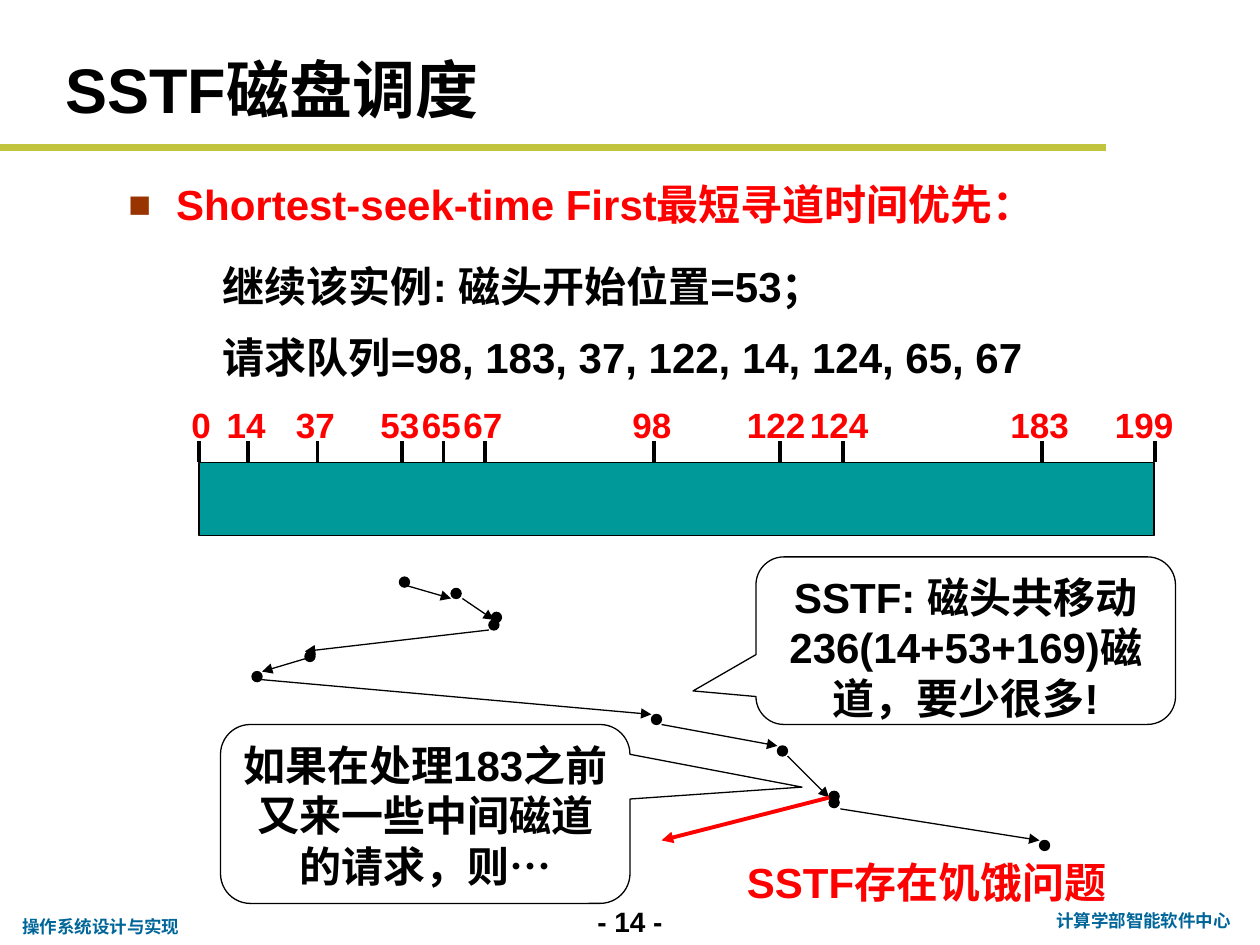
from lxml import etree
from pptx import Presentation
from pptx.dml.color import RGBColor
from pptx.enum.shapes import MSO_CONNECTOR, MSO_SHAPE
from pptx.enum.text import MSO_ANCHOR, PP_ALIGN
from pptx.oxml.ns import qn
from pptx.util import Inches, Pt

BLACK = RGBColor(0x00, 0x00, 0x00)
WHITE = RGBColor(0xFF, 0xFF, 0xFF)
RED = RGBColor(0xFF, 0x00, 0x00)
TEAL = RGBColor(0x00, 0x99, 0x99)
OLIVE = RGBColor(0xC1, 0xC4, 0x3C)
FOOTER_BLUE = RGBColor(0x00, 0x66, 0x99)
BULLET_BROWN = "993300"

LEFT, CENTER = PP_ALIGN.LEFT, PP_ALIGN.CENTER
TOP, MIDDLE = MSO_ANCHOR.TOP, MSO_ANCHOR.MIDDLE
STRAIGHT = MSO_CONNECTOR.STRAIGHT
RECTANGLE, OVAL = MSO_SHAPE.RECTANGLE, MSO_SHAPE.OVAL
CALLOUT = MSO_SHAPE.ROUNDED_RECTANGULAR_CALLOUT

TITLE_ONLY = 5
DISK_LEFT, DISK_TOP, DISK_WIDTH, DISK_HEIGHT = 1.58, 3.67, 7.58, 0.58
TICK_LENGTH = 0.17
DOT_SIZE = 0.08

# Track number, tick position, left edge of its label
TRACKS = [
    ("0", 1.58, 1.42), ("14", 1.97, 1.7), ("37", 2.52, 2.25),
    ("53", 3.19, 2.92), ("65", 3.52, 3.25), ("67", 3.85, 3.58),
    ("98", 5.19, 4.92), ("122", 6.19, 5.83), ("124", 6.69, 6.33),
    ("183", 8.27, 7.92), ("199", 9.17, 8.75),
]
HEAD_STOPS = [
    (3.17, 4.58), (3.58, 4.67), (3.9, 4.86), (3.88, 4.92), (2.42, 5.17),
    (2, 5.33), (5.17, 5.67), (6.17, 5.92), (6.58, 6.28), (6.58, 6.33),
    (8.25, 6.67),
]
HEAD_MOVES = [
    ((3.2, 4.64), (3.58, 4.75)), ((3.67, 4.75), (3.92, 4.92)),
    ((3.88, 5), (2.42, 5.17)), ((2.45, 5.22), (2.08, 5.33)),
    ((2.03, 5.39), (5.17, 5.67)), ((5.25, 5.75), (6.17, 5.92)),
    ((6.25, 6), (6.58, 6.33)), ((6.67, 6.42), (8.25, 6.67)),
]


def write(frame, *lines, size=24, color=BLACK, font="Arial", align=LEFT,
          spacing=None, indent=0, bullet=False, anchor=TOP, wrap=True):
    """Fill a text frame with one paragraph per line."""
    frame.word_wrap = wrap
    frame.vertical_anchor = anchor
    for index, line in enumerate(lines):
        para = frame.paragraphs[0] if index == 0 else frame.add_paragraph()
        para.alignment = align
        if spacing:
            para.line_spacing = spacing
        if indent:
            para._p.get_or_add_pPr().set("marL", str(Inches(indent)))
        if bullet:
            add_bullet(para, indent)
        span = para.add_run()
        span.text = line
        span.font.name = font
        span.font.size = Pt(size)
        span.font.bold = True
        span.font.color.rgb = color


def add_bullet(para, indent):
    properties = para._p.get_or_add_pPr()
    properties.set("indent", str(-Inches(indent)))
    color = etree.SubElement(properties, qn("a:buClr"))
    etree.SubElement(color, qn("a:srgbClr"), val=BULLET_BROWN)
    etree.SubElement(properties, qn("a:buSzPct"), val="90000")
    etree.SubElement(properties, qn("a:buFont"), typeface="Arial")
    etree.SubElement(properties, qn("a:buChar"), char="■")


def place(shape, left, top, width, height):
    shape.left, shape.top = Inches(left), Inches(top)
    shape.width, shape.height = Inches(width), Inches(height)


def add_text(page, bounds, *lines, **style):
    box = page.shapes.add_textbox(*map(Inches, bounds))
    write(box.text_frame, *lines, **style)


def add_line(page, start, end, color=BLACK, width=0.75, arrow=False):
    line = page.shapes.add_connector(STRAIGHT, *map(Inches, start + end))
    line.line.color.rgb = color
    line.line.width = Pt(width)
    if arrow:
        etree.SubElement(line.line._get_or_add_ln(), qn("a:tailEnd"),
                         type="triangle")
    etree.SubElement(line._element.spPr, qn("a:effectLst"))


def add_shape(page, kind, bounds, fill):
    shape = page.shapes.add_shape(kind, *map(Inches, bounds))
    shape.shadow.inherit = False
    shape.fill.solid()
    shape.fill.fore_color.rgb = fill
    shape.line.color.rgb = BLACK
    shape.line.width = Pt(0.75)
    return shape


def add_callout(page, bounds, tip, text):
    """Tip is measured from the centre, as shares of width and height."""
    callout = add_shape(page, CALLOUT, bounds, WHITE)
    callout.adjustments[0], callout.adjustments[1] = tip
    write(callout.text_frame, text, align=CENTER)


def add_frame(page):
    """Title, rule and footer."""
    title = page.shapes.title
    place(title, 0.42, 0.33, 8.58, 0.74)
    write(title.text_frame, "SSTF磁盘调度", size=36, anchor=MIDDLE)
    add_line(page, (0, 1.17), (8.78, 1.17), OLIVE, 4)
    add_text(page, (4.5, 7.13, 1, 0.37), "- 14 -", size=16, align=CENTER)
    footer = {"size": 10, "color": FOOTER_BLUE, "font": "Roboto"}
    add_text(page, (8.25, 7.17, 1.65, 0.27), "计算学部智能软件中心",
             align=CENTER, **footer)
    add_text(page, (0.08, 7.22, 1.46, 0.27), "操作系统设计与实现",
             wrap=False, **footer)


def add_disk(page):
    add_shape(page, RECTANGLE,
              (DISK_LEFT, DISK_TOP, DISK_WIDTH, DISK_HEIGHT), TEAL)
    for track, tick, label_left in TRACKS:
        add_line(page, (tick, DISK_TOP - TICK_LENGTH), (tick, DISK_TOP),
                 width=2.25)
        label_width = 0.75 if len(track) == 3 else 0.58
        add_text(page, (label_left, 3.15, label_width, 0.43), track,
                 size=20, color=RED)


def add_head_path(page):
    for start, end in HEAD_MOVES:
        add_line(page, start, end, arrow=True)
    for left, top in HEAD_STOPS:
        add_shape(page, OVAL, (left, top, DOT_SIZE, DOT_SIZE), BLACK)


def main():
    deck = Presentation()
    deck.slide_width, deck.slide_height = Inches(10), Inches(7.5)
    page = deck.slides.add_slide(deck.slide_layouts[TITLE_ONLY])

    add_frame(page)
    add_text(page, (0.92, 1.25, 7.66, 0.95),
             "Shortest-seek-time First最短寻道时间优先：",
             color=RED, spacing=1.3, indent=0.38, bullet=True)
    add_text(page, (1.17, 1.86, 7.5, 1.22),
             "继续该实例: 磁头开始位置=53；",
             "请求队列=98, 183, 37, 122, 14, 124, 65, 67",
             spacing=1.4, indent=0.5)
    add_disk(page)
    add_head_path(page)
    add_callout(page, (1.75, 5.75, 3.25, 1.42), (0.92, -0.15),
                "如果在处理183之前又来一些中间磁道的请求，则…")
    add_callout(page, (6, 4.42, 3.33, 1.33), (-0.65, 0.3),
                "SSTF: 磁头共移动236(14+53+169)磁道，要少很多!")
    add_text(page, (5.33, 6.59, 3.75, 0.66), "SSTF存在饥饿问题",
             color=RED, spacing=1.4, indent=0.5)
    add_line(page, (6.58, 6.33), (5.25, 6.67), RED, 2.25, arrow=True)

    deck.save("out.pptx")


if __name__ == "__main__":
    main()
